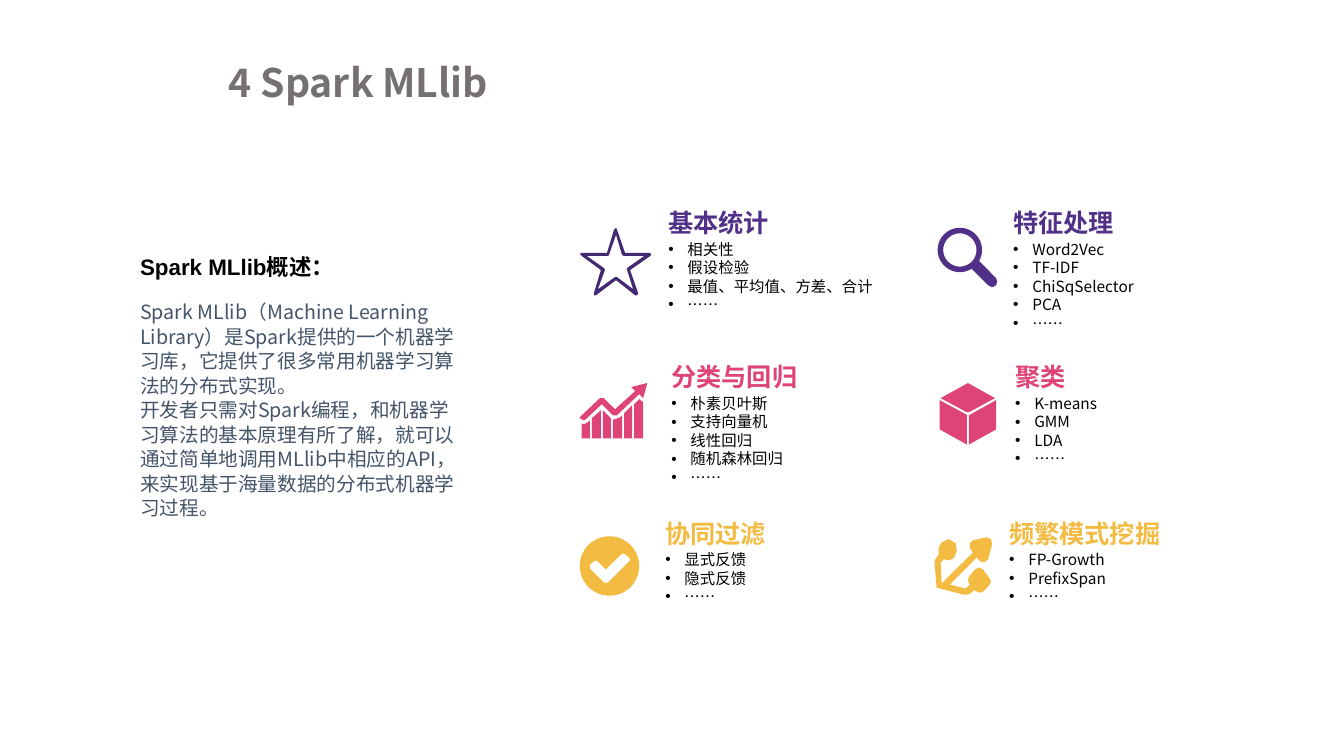
"""Build the Spark MLlib overview slide with six topic blocks and their icons."""
from math import cos, radians, sin

from lxml import etree
from pptx import Presentation
from pptx.dml.color import RGBColor
from pptx.enum.text import MSO_AUTO_SIZE
from pptx.oxml.ns import qn
from pptx.util import Pt

PX = 9144
FINE = 10
GROW = MSO_AUTO_SIZE.SHAPE_TO_FIT_TEXT
SANS = "Noto Sans CJK SC"
COLORS = {
    "title": "767171", "body": "445469", "black": "000000", "star": "442872",
    "purple": "513087", "pink": "DE4477", "yellow": "F4BB43",
}


def write(shapes, frame, lines, size, color, font=SANS, bold=False, inset=True, bullet=False, wrap=True):
    """Add a text box with one paragraph per line and return its paragraphs."""
    box = shapes.add_textbox(*(value * PX for value in frame))
    text = box.text_frame
    text.word_wrap = wrap
    text.auto_size = GROW
    if not inset:
        text.margin_left = text.margin_right = text.margin_top = text.margin_bottom = 0
    text.text = "\n".join(lines)
    for para in text.paragraphs:
        if bullet:
            props = para._p.get_or_add_pPr()
            props.set("marL", str(19 * PX))
            props.set("indent", str(-19 * PX))
            etree.SubElement(props, qn("a:buFont")).set("typeface", "Arial")
            etree.SubElement(props, qn("a:buChar")).set("char", "•")
        for span in para.runs:
            span.font.size = Pt(size)
            span.font.bold = bold
            span.font.name = font
            span.font.color.rgb = RGBColor.from_string(COLORS[color])
            etree.SubElement(span._r.get_or_add_rPr(), qn("a:ea")).set("typeface", SANS)
    return text.paragraphs


def arc(x, y, radius, start=0, end=360):
    """Return points along a circle from the start angle to the end angle."""
    angles = [radians(start + (end - start) * step / 48) for step in range(49)]
    return [(x + radius * cos(angle), y + radius * sin(angle)) for angle in angles]


deck = Presentation()
deck.slide_width, deck.slide_height = 1333 * PX, 750 * PX
page = deck.slides.add_slide(deck.slide_layouts[6])

write(page.shapes, (217, 53, 291, 57), ["4 Spark MLlib"], 28, "title", bold=True, wrap=False)
write(page.shapes, (139, 251, 256, 27), ["Spark MLlib概述："], 16, "black", "Arial", bold=True, inset=False)
overview = [
    "Spark MLlib（Machine Learning Library）是Spark提供的一个机器学习库，它提供了很多常用机器学习算法的分布式实现。",
    "开发者只需对Spark编程，和机器学习算法的基本原理有所了解，就可以通过简单地调用MLlib中相应的API，来实现基于海量数据的分布式机器学习过程。",
]
for para in write(page.shapes, (139, 297, 317, 226), overview, 14, "body", inset=False):
    para.line_spacing = Pt(17.5)

topics = [
    (653, 201, "purple", "基本统计", ["相关性", "假设检验", "最值、平均值、方差、合计"]),
    (995, 201, "purple", "特征处理", ["Word2Vec", "TF-IDF", "ChiSqSelector", "PCA"]),
    (656, 354, "pink", "分类与回归", ["朴素贝叶斯", "支持向量机", "线性回归", "随机森林回归"]),
    (997, 354, "pink", "聚类", ["K-means", "GMM", "LDA"]),
    (650, 509, "yellow", "协同过滤", ["显式反馈", "隐式反馈"]),
    (991, 509, "yellow", "频繁模式挖掘", ["FP-Growth", "PrefixSpan"]),
]
for left, top, color, heading, methods in topics:
    group = page.shapes.add_group_shape()
    items = methods + ["……"]
    write(group.shapes, (left, top, 172, 40), [heading], 18, color, "Arial", bold=True)
    write(group.shapes, (left, top + 32, 271, 10 + 37 * len(items) // 2), items, 11, "black", bullet=True)

star = [
    [(609, 228), (602, 251), (577, 251), (575, 252), (577, 254), (596, 268), (589, 291), (589, 293),
     (591, 293), (611, 278), (630, 293), (632, 293), (633, 291), (625, 268), (645, 254), (646, 252),
     (644, 251), (620, 251), (612, 228), (611, 226)],
    [(611, 233), (617, 253), (619, 254), (639, 254), (622, 266), (622, 268), (628, 287), (612, 275),
     (610, 275), (593, 287), (600, 268), (599, 266), (582, 254), (603, 254), (604, 253)],
]
magnifier = [
    arc(952, 248, 22, 58, 390) + [(988, 276), (989, 279), (988, 283), (984, 285), (980, 283)],
    arc(952, 248, 16.5),
]
trend = [
    [(638, 395), (634, 391), (612, 412), (610, 412), (608, 412), (597, 401), (581, 416), (579, 417),
     (577, 416), (575, 415), (576, 413), (595, 395), (597, 395), (599, 395), (610, 406), (630, 388),
     (626, 384), (642, 380)],
    [(577, 435), (577, 420), (579, 421), (583, 419), (585, 417), (585, 435)],
    [(587, 435), (587, 415), (596, 407), (596, 435)],
    [(598, 435), (598, 407), (605, 414), (606, 415), (606, 435)],
    [(608, 435), (608, 416), (610, 416), (615, 414), (617, 412), (617, 435)],
    [(619, 435), (619, 410), (627, 402), (627, 435)],
    [(629, 435), (629, 401), (634, 396), (638, 399), (638, 435)],
]
cube = [
    [(932, 397), (958, 411), (959, 412), (959, 441), (932, 426)],
    [(988, 397), (988, 426), (961, 441), (961, 412)],
    [(960, 380), (987, 395), (961, 409), (959, 409), (933, 395)],
]
check = [
    arc(604.5, 561.5, 29.5),
    [(624, 553), (620, 550), (618, 549), (616, 550), (601, 565), (593, 557), (590, 556), (589, 557),
     (585, 560), (585, 564), (599, 578), (601, 578), (603, 578), (624, 557), (625, 556)],
]
network = [
    [(972, 557), (976, 558), (980, 555), (984, 540), (983, 535), (979, 533), (965, 536), (962, 539),
     (962, 544), (965, 548), (934, 579), (933, 558), (936, 555), (941, 556), (946, 554), (949, 547),
     (948, 539), (941, 535), (934, 538), (931, 543), (931, 550), (929, 553), (927, 556), (927, 559),
     (929, 583), (956, 590), (959, 590), (962, 589), (967, 585), (967, 586), (971, 588), (975, 587),
     (981, 581), (983, 577), (981, 573), (975, 565), (971, 563), (967, 565), (962, 571), (960, 575),
     (961, 579), (962, 580), (958, 584), (942, 580), (969, 553)],
]
icons = [
    (star, "star"), (magnifier, "purple"), (trend, "pink"),
    (cube, "pink"), (check, "yellow"), (network, "yellow"),
]
for contours, color in icons:
    outlines = [[(x * FINE, y * FINE) for x, y in contour] for contour in contours]
    builder = page.shapes.build_freeform(*outlines[0][0], scale=PX / FINE)
    for outline in outlines:
        if outline is not outlines[0]:
            builder.move_to(*outline[0])
        builder.add_line_segments(outline[1:], close=True)
    icon = builder.convert_to_shape()
    icon.shadow.inherit = False
    icon.fill.solid()
    icon.fill.fore_color.rgb = RGBColor.from_string(COLORS[color])
    icon.line.fill.background()

deck.save("out.pptx")
